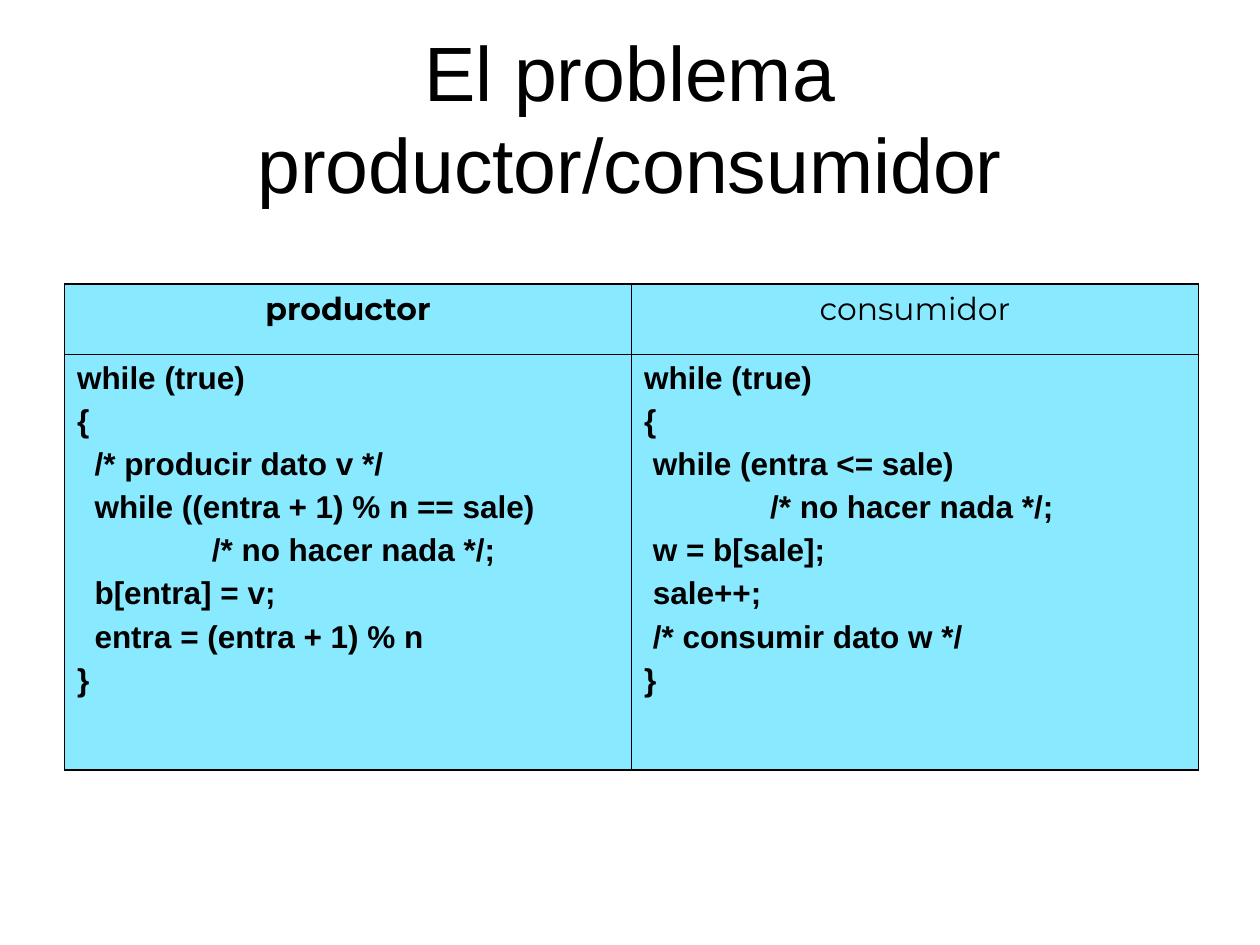
from dataclasses import dataclass

from lxml import etree
from pptx import Presentation
from pptx import util as u
from pptx.dml.color import RGBColor
from pptx.enum import text
from pptx.oxml import ns


@dataclass(frozen=True)
class Theme:
    """Colours, fonts, sizes and line widths of the slide."""
    ink: str = "000000"
    cell: str = "89E9FF"
    body_font: str = "Arial"
    head_font: str = "Montserrat"
    title_size: float = 44
    body_size: float = 18
    gap: float = 4.5
    outer: float = 1.08
    inner: float = 0.45


THEME = Theme()
TITLE = "El problema productor/consumidor"
HEADS = [("productor", True), ("consumidor", False)]
PRODUCER = """while (true)
{
  /* producir dato v */
  while ((entra + 1) % n == sale)
 \t /* no hacer nada */;
  b[entra] = v;
  entra = (entra + 1) % n
}"""
CONSUMER = """while (true)
{
 while (entra <= sale)
\t/* no hacer nada */;
 w = b[sale];
 sale++;
 /* consumir dato w */
}"""


def write(tf, content, *, font=THEME.body_font, size=THEME.body_size, bold=False,
          align=text.PP_ALIGN.LEFT):
    """Write each line of content as a formatted paragraph."""
    for i, line in enumerate(content.split("\n")):
        p = tf.add_paragraph() if i else tf.paragraphs[0]
        p.alignment = align
        if i:
            p.space_before = u.Pt(THEME.gap)
        if "\t" in line:
            tabs = etree.SubElement(p._p.get_or_add_pPr(), ns.qn("a:tabLst"))
            etree.SubElement(tabs, ns.qn("a:tab"), pos=str(u.Cm(2.54)), algn="l")
        r = p.add_run()
        r.text = line
        r.font.name, r.font.size, r.font.bold = font, u.Pt(size), bold
        r.font.color.rgb = RGBColor.from_string(THEME.ink)


def add_title(s):
    """Add the centred slide title."""
    sp = s.shapes.add_textbox(u.Cm(1.27), u.Cm(0.76), u.Cm(22.86), u.Cm(3.18))
    tf = sp.text_frame
    tf.word_wrap = True
    tf.vertical_anchor = text.MSO_ANCHOR.MIDDLE
    write(tf, TITLE, size=THEME.title_size, align=text.PP_ALIGN.CENTER)


def style_cell(cell, row, col):
    """Fill a cell of the two by two grid and draw its borders."""
    cell.fill.solid()
    cell.fill.fore_color.rgb = RGBColor.from_string(THEME.cell)
    outside = {"L": col == 0, "R": col == 1, "T": row == 0, "B": row == 1}
    tcPr = cell._tc.get_or_add_tcPr()
    for i, (side, is_outer) in enumerate(outside.items()):
        width = u.Pt(THEME.outer if is_outer else THEME.inner)
        ln = etree.Element(ns.qn(f"a:ln{side}"), w=str(width))
        fill = etree.SubElement(ln, ns.qn("a:solidFill"))
        etree.SubElement(fill, ns.qn("a:srgbClr"), val=THEME.ink)
        tcPr.insert(i, ln)


def add_code_table(s):
    """Add the table that sets producer and consumer code side by side."""
    frame = s.shapes.add_table(2, 2, u.Cm(1.3), u.Cm(5.72), u.Cm(22.86), u.Cm(9.8))
    table = frame.table
    for row, height in zip(table.rows, (1.42, 8.38)):
        row.height = u.Cm(height)
    for col, ((head, bold), code) in enumerate(zip(HEADS, (PRODUCER, CONSUMER))):
        write(table.cell(0, col).text_frame, head, font=THEME.head_font, bold=bold,
              align=text.PP_ALIGN.CENTER)
        write(table.cell(1, col).text_frame, code, bold=True)
        for row in range(2):
            style_cell(table.cell(row, col), row, col)


def main():
    """Build the slide and save it."""
    prs = Presentation()
    prs.slide_width, prs.slide_height = u.Cm(25.4), u.Cm(19.05)
    s = prs.slides.add_slide(prs.slide_layouts[6])
    add_title(s)
    add_code_table(s)
    prs.save("out.pptx")


if __name__ == "__main__":
    main()
